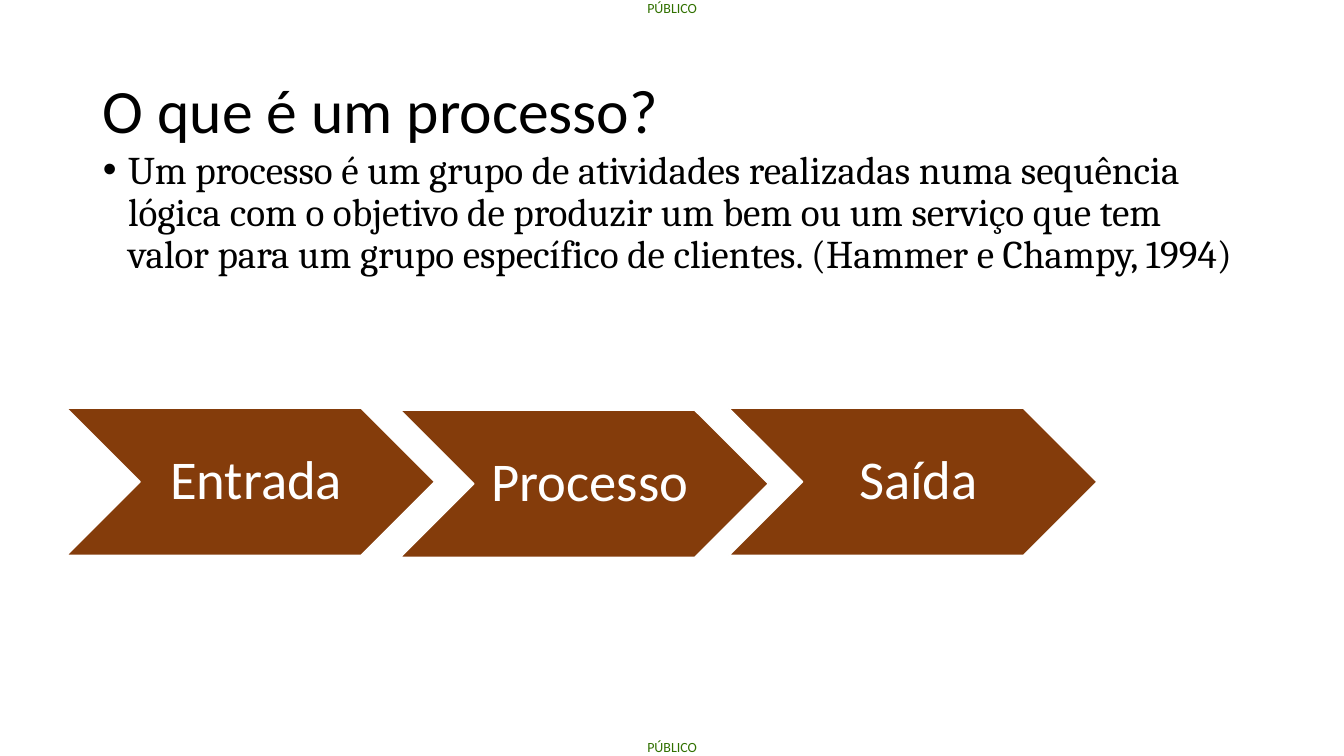
"""Build the slide that defines a process and its three stages."""
from dataclasses import dataclass

from pptx import Presentation
from pptx.dml.color import RGBColor
from pptx.enum.shapes import MSO_SHAPE
from pptx.enum.text import MSO_ANCHOR, MSO_AUTO_SIZE, PP_ALIGN
from pptx.slide import Slide
from pptx.text.text import TextFrame
from pptx.util import Inches, Pt

CHEVRON = MSO_SHAPE.CHEVRON
TOP, MIDDLE = MSO_ANCHOR.TOP, MSO_ANCHOR.MIDDLE
NO_AUTOFIT = MSO_AUTO_SIZE.NONE
LEFT, CENTER = PP_ALIGN.LEFT, PP_ALIGN.CENTER

BLACK = RGBColor(0x00, 0x00, 0x00)
WHITE = RGBColor(0xFF, 0xFF, 0xFF)
BROWN = RGBColor(0x84, 0x3C, 0x0B)
GREEN = RGBColor(0x31, 0x71, 0x00)

STAGE_WIDTH, STAGE_HEIGHT = 3.65, 1.46
DEFINITION = (
    "Um processo é um grupo de atividades realizadas numa sequência lógica "
    "com o objetivo de produzir um bem ou um serviço que tem valor para um "
    "grupo específico de clientes. (Hammer e Champy, 1994)"
)


@dataclass(frozen=True)
class TextStyle:
    """Formatting of a single-paragraph text."""

    size: float
    color: RGBColor
    font: str = "Calibri"
    align: PP_ALIGN = LEFT
    anchor: MSO_ANCHOR = TOP
    wrap: bool = True
    line_spacing: float = 0.9
    space_before: float = 0
    margins: tuple[float, float, float, float] = (0.1, 0.05, 0.1, 0.05)


@dataclass(frozen=True)
class Stage:
    """One chevron of the process."""

    label: str
    left: float
    top: float


TITLE_STYLE = TextStyle(44, BLACK, anchor=MIDDLE)
BODY_STYLE = TextStyle(28, BLACK, font="Cambria", space_before=10)
STAGE_STYLE = TextStyle(39, WHITE, align=CENTER, anchor=MIDDLE, wrap=False,
                        margins=(0.17, 0.06, 0.06, 0.06))
MARK_STYLE = TextStyle(10, GREEN, wrap=False, line_spacing=1.0,
                       margins=(0, 0, 0, 0))

STAGES = (
    Stage("Entrada", 0.66, 4.05),
    Stage("Processo", 3.97, 4.07),
    Stage("Saída", 7.23, 4.05),
)
MARK_TOPS = (0, 7.33)


def set_attributes(target: object, values: dict[str, object]) -> None:
    """Set every named attribute on the target."""
    for name, value in values.items():
        setattr(target, name, value)


def write_text(frame: TextFrame, text: str, style: TextStyle) -> None:
    """Write one formatted paragraph into a text frame."""
    left, top, right, bottom = map(Inches, style.margins)
    set_attributes(frame, {
        "text": text,
        "auto_size": NO_AUTOFIT,
        "word_wrap": style.wrap,
        "vertical_anchor": style.anchor,
        "margin_left": left,
        "margin_top": top,
        "margin_right": right,
        "margin_bottom": bottom,
    })
    paragraph = frame.paragraphs[0]
    set_attributes(paragraph, {
        "alignment": style.align,
        "line_spacing": style.line_spacing,
        "space_before": Pt(style.space_before),
    })
    font = paragraph.runs[0].font
    set_attributes(font, {"name": style.font, "size": Pt(style.size)})
    font.color.rgb = style.color


def fill_placeholder(slide: Slide, index: int, text: str, style: TextStyle,
                     top: float, height: float) -> TextFrame:
    """Place and fill a template placeholder, returning its text frame."""
    placeholder = slide.placeholders[index]
    set_attributes(placeholder, {
        "left": Inches(0.92),
        "top": Inches(top),
        "width": Inches(11.5),
        "height": Inches(height),
    })
    write_text(placeholder.text_frame, text, style)
    return placeholder.text_frame


def add_mark(slide: Slide, top: float) -> None:
    """Add the classification mark at the given height."""
    box = slide.shapes.add_textbox(
        Inches(6.42), Inches(top), Inches(0.53), Inches(0.17))
    write_text(box.text_frame, "PÚBLICO", MARK_STYLE)


def add_stage(slide: Slide, stage: Stage) -> None:
    """Add a labelled chevron."""
    shape = slide.shapes.add_shape(
        CHEVRON, Inches(stage.left), Inches(stage.top),
        Inches(STAGE_WIDTH), Inches(STAGE_HEIGHT))
    shape.shadow.inherit = False
    shape.fill.solid()
    shape.fill.fore_color.rgb = BROWN
    shape.line.color.rgb = WHITE
    shape.line.width = Pt(1)
    write_text(shape.text_frame, stage.label, STAGE_STYLE)


def main() -> None:
    """Create and save the presentation."""
    presentation = Presentation()
    set_attributes(presentation, {
        "slide_width": Inches(13.33),
        "slide_height": Inches(7.5),
    })
    slide = presentation.slides.add_slide(presentation.slide_layouts[1])
    fill_placeholder(slide, 0, "O que é um processo?", TITLE_STYLE, 0.4, 1.45)
    body = fill_placeholder(slide, 1, DEFINITION, BODY_STYLE, 1.44, 5.32)
    properties = body.paragraphs[0]._p.get_or_add_pPr()
    properties.set("marL", str(Inches(0.25)))
    properties.set("indent", str(Inches(-0.25)))
    for top in MARK_TOPS:
        add_mark(slide, top)
    for stage in STAGES:
        add_stage(slide, stage)
    presentation.save("out.pptx")


if __name__ == "__main__":
    main()
